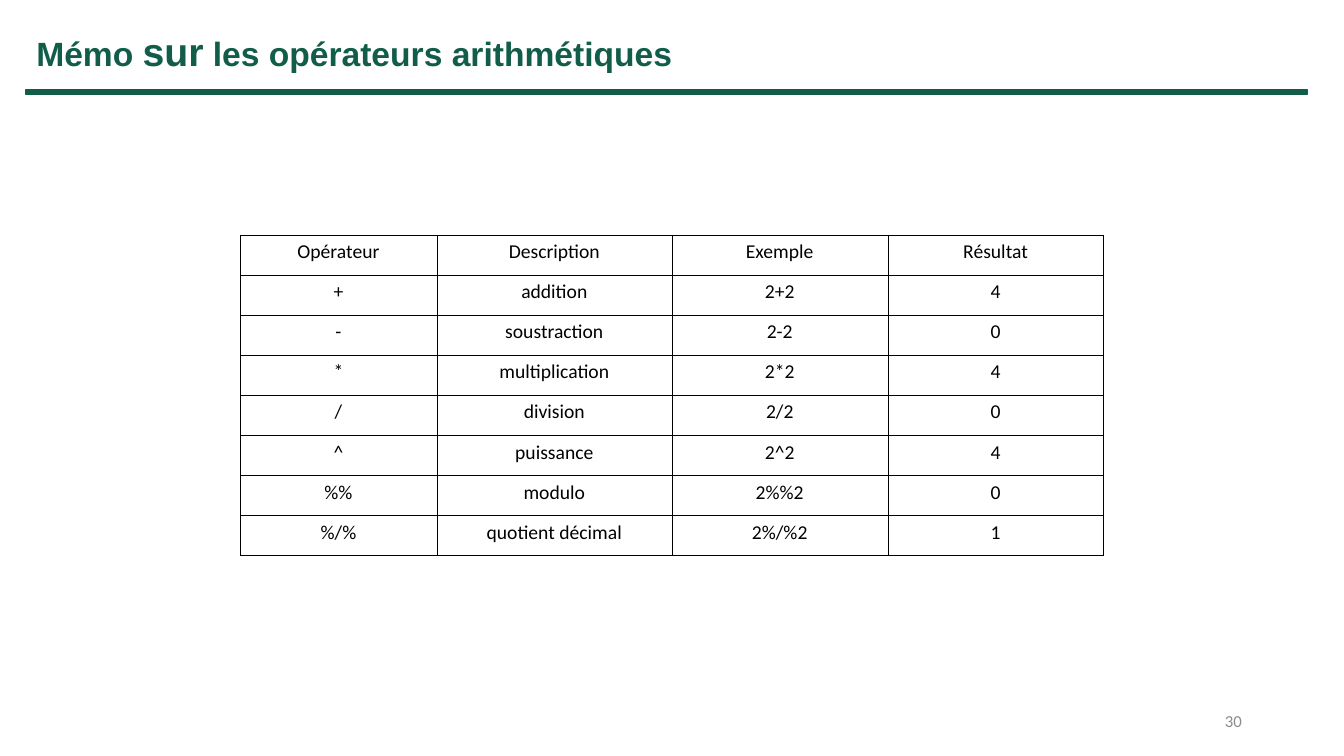
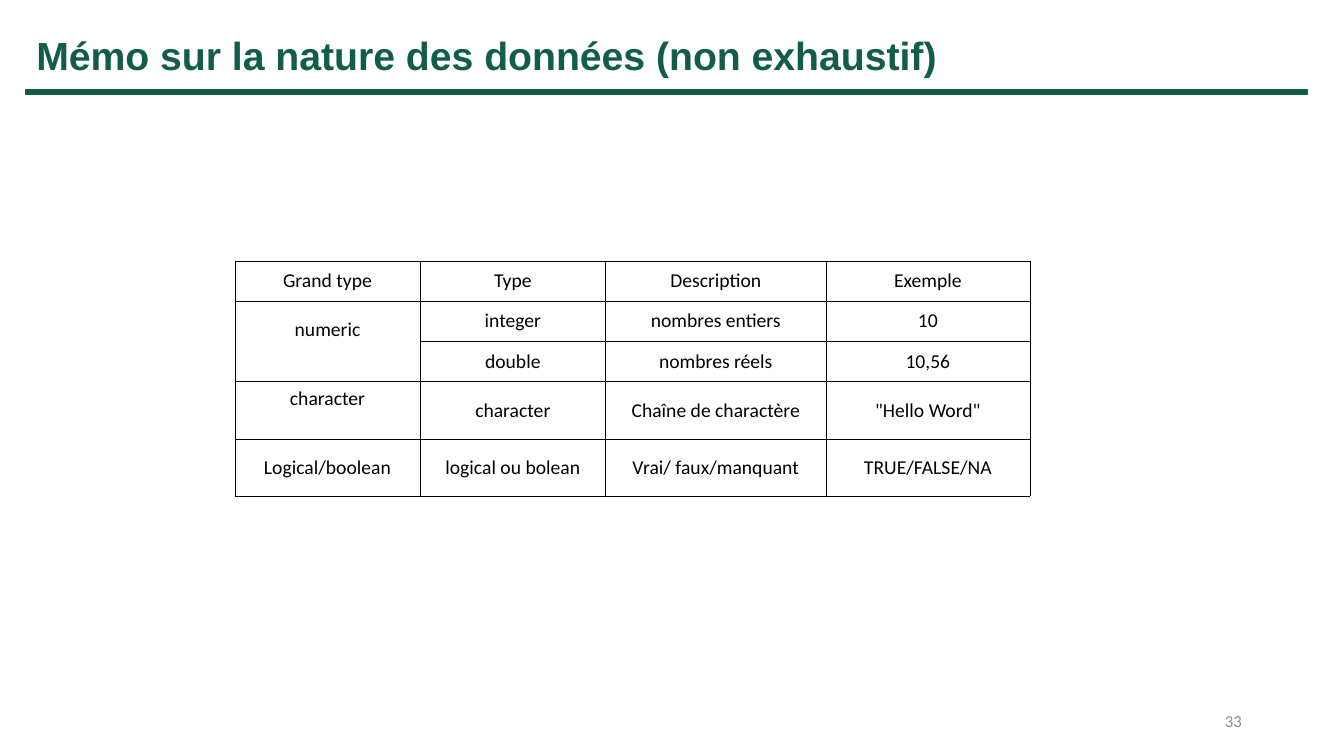
from lxml.etree import SubElement
from pptx import Presentation
from pptx.dml.color import RGBColor
from pptx.enum.shapes import MSO_SHAPE
from pptx.enum.text import MSO_ANCHOR, MSO_AUTO_SIZE, PP_ALIGN
from pptx.oxml import parse_xml
from pptx.oxml.ns import nsdecls, qn
from pptx.util import Cm, Pt

GREEN = RGBColor(0x12, 0x5D, 0x4A)
GREY = RGBColor(0x8C, 0x8C, 0x8C)
BLACK = RGBColor(0, 0, 0)
HEAD, BODY = "Arial", "Calibri"
EDGE = Cm(0.66)


class Deck:
    def __init__(self):
        self.prs = Presentation()
        self.prs.slide_width, self.prs.slide_height = Cm(33.87), Cm(19.05)
        self.slide = None

    def style(self, run, font, size, color, bold=False):
        run.font.name, run.font.size = font, Pt(size)
        run.font.color.rgb, run.font.bold = color, bold

    def page(self, parts, top, number):
        """Start a slide; parts is a list of (title text, size)."""
        self.slide = self.prs.slides.add_slide(self.prs.slide_layouts[5])
        self.title(parts, top)
        self.bar()
        self.number(number)

    def title(self, parts, top):
        box = self.slide.shapes.title
        box.left, box.top, box.width, box.height = EDGE, Cm(top), Cm(24.5), Cm(1.45)
        frame = box.text_frame
        frame.auto_size = MSO_AUTO_SIZE.NONE
        frame.vertical_anchor = MSO_ANCHOR.TOP
        para = frame.paragraphs[0]
        para.alignment = PP_ALIGN.LEFT
        for text, size in parts:
            run = para.add_run()
            run.text = text
            self.style(run, HEAD, size, GREEN, True)

    def bar(self):
        bar = self.slide.shapes.add_shape(
            MSO_SHAPE.RECTANGLE, EDGE, Cm(2.26), Cm(32.28), Cm(0.13))
        bar.shadow.inherit = False
        bar.fill.solid()
        bar.fill.fore_color.rgb = GREEN
        bar.line.color.rgb = GREEN
        bar.line.width = Pt(1)

    def number(self, value):
        box = self.slide.shapes.add_textbox(Cm(23.93), Cm(17.65), Cm(7.62), Cm(1.02))
        frame = box.text_frame
        frame.word_wrap = True
        frame.vertical_anchor = MSO_ANCHOR.MIDDLE
        frame.text = str(value)
        para = frame.paragraphs[0]
        para.alignment = PP_ALIGN.RIGHT
        self.style(para.runs[0], BODY, 12, GREY)

    def table(self, left, top, cols, rows, data, anchor):
        """Draw a ruled table, sizes in cm, and return it."""
        table = self.slide.shapes.add_table(
            len(rows), len(cols), Cm(left), Cm(top), Cm(sum(cols)), Cm(sum(rows))).table
        table.first_row = table.horz_banding = False
        for col, width in zip(table.columns, cols):
            col.width = Cm(width)
        for row, height, texts in zip(table.rows, rows, data):
            row.height = Cm(height)
            for cell, text in zip(row.cells, texts):
                self.cell(cell, text, anchor)
        return table

    def cell(self, cell, text, anchor):
        cell.fill.background()
        cell.vertical_anchor = anchor
        self.rule(cell)
        cell.text = text
        para = cell.text_frame.paragraphs[0]
        para.alignment = PP_ALIGN.CENTER
        for run in para.runs:
            self.style(run, BODY, 14, BLACK)

    def rule(self, cell):
        """Put a thin black border on all four sides."""
        props = cell._tc.get_or_add_tcPr()
        for spot, side in enumerate(("lnL", "lnR", "lnT", "lnB")):
            line = parse_xml(f'<a:{side} {nsdecls("a")} w="{Pt(0.25)}"/>')
            fill = SubElement(line, qn("a:solidFill"))
            SubElement(fill, qn("a:srgbClr"), val=str(BLACK))
            props.insert(spot, line)


def maths(deck):
    deck.page([("Mémo ", 24), ("sur", 28), (" les opérateurs arithmétiques", 24)], 0.56, 30)
    data = [
        ("Opérateur", "Description", "Exemple", "Résultat"),
        ("+", "addition", "2+2", "4"),
        ("-", "soustraction", "2-2", "0"),
        ("*", "multiplication", "2*2", "4"),
        ("/", "division", "2/2", "0"),
        ("^", "puissance", "2^2", "4"),
        ("%%", "modulo", "2%%2", "0"),
        ("%/%", "quotient décimal", "2%/%2", "1"),
    ]
    deck.table(6.05, 5.92, [4.96, 5.92, 5.44, 5.44], [1.01] * len(data), data,
               MSO_ANCHOR.TOP)


def types(deck):
    deck.page([("Mémo sur la nature des données (non exhaustif)", 28)], 0.66, 33)
    data = [
        ("Grand type", "Type", "Description", "Exemple"),
        ("numeric", "integer", "nombres entiers", "10"),
        ("", "double", "nombres réels", "10,56"),
        ("character", "character", "Chaîne de charactère", '"Hello Word"'),
        ("Logical/boolean", "logical ou bolean", "Vrai/ faux/manquant", "TRUE/FALSE/NA"),
    ]
    table = deck.table(5.92, 6.58, [4.67, 4.67, 5.56, 5.13], [1.01] * 3 + [1.46, 1.42],
                       data, MSO_ANCHOR.MIDDLE)
    table.cell(1, 0).merge(table.cell(2, 0))
    for row in (1, 3):
        table.cell(row, 0).margin_bottom = Cm(0.73)


def main():
    deck = Deck()
    maths(deck)
    types(deck)
    deck.prs.save("out.pptx")


if __name__ == "__main__":
    main()
